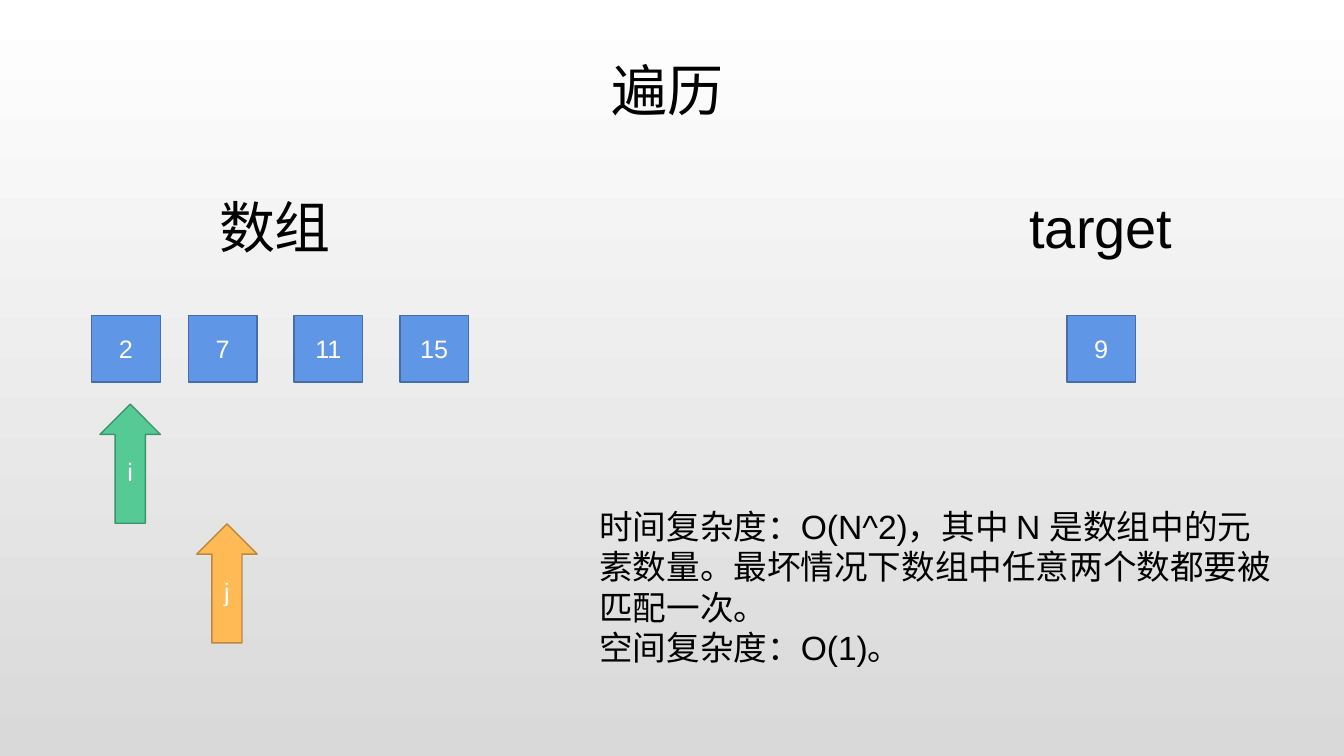
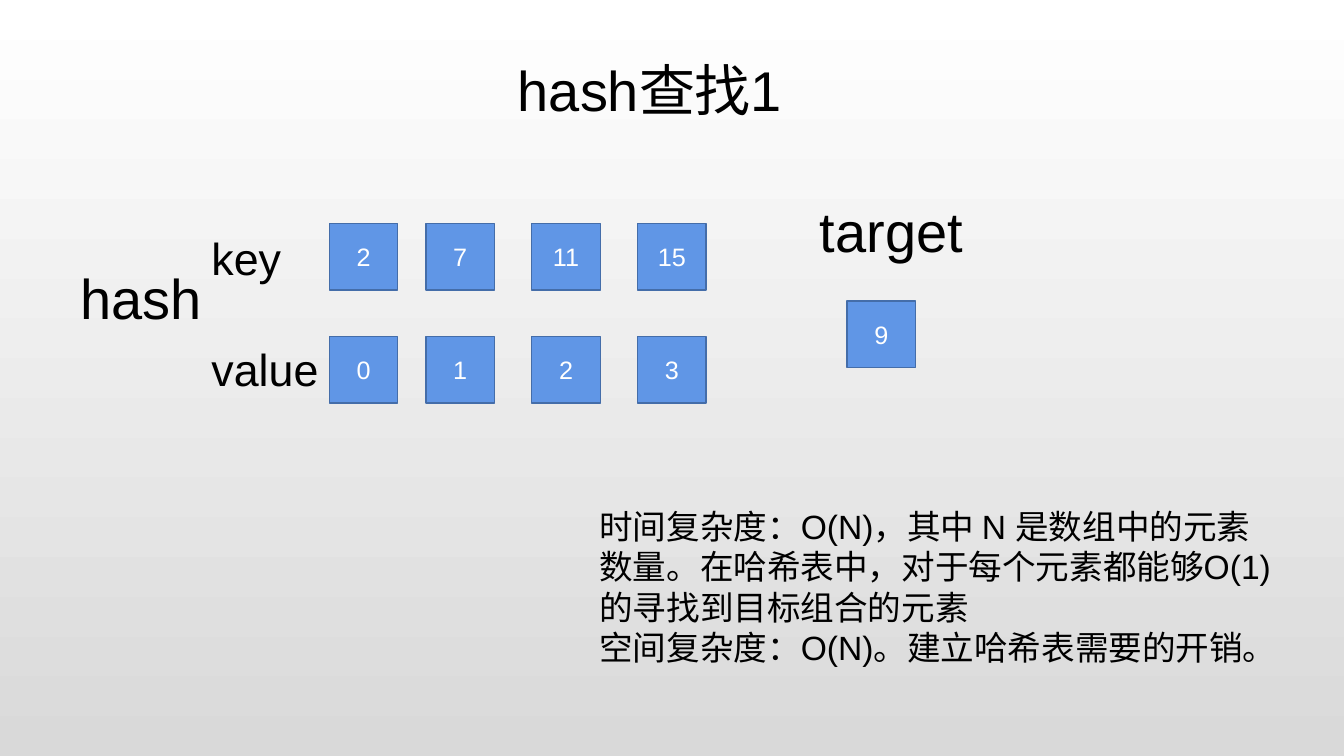
from dataclasses import dataclass
from pptx import Presentation
from pptx.dml.color import RGBColor as RGB
from pptx.enum.lang import MSO_LANGUAGE_ID as Lang
from pptx.enum.shapes import MSO_SHAPE as Kind
from pptx.enum.text import MSO_ANCHOR as Anchor
from pptx.enum.text import MSO_AUTO_SIZE as Fit
from pptx.enum.text import PP_ALIGN as Align
from pptx.util import Pt


@dataclass(frozen=True)
class Theme:
    font: str = "Arial"
    ink: str = "000000"
    pale: str = "FFFFFF"
    shade: str = "D9D9D9"
    # fill and line pairs
    blue: tuple = ("6096E6", "446DA9")
    green: tuple = ("56CA95", "3D946C")
    gold: tuple = ("FFBA55", "BC883C")
    head: int = 40
    label: int = 32
    body: int = 24
    small: int = 18


THEME = Theme()
WIDE, HIGH = 960.48, 540
CELL = (49, 47.5)
STEPS = (0, 69.1, 144.7, 220.3)
ARROW = (43.2, 85)
HEAD_H, LABEL_H = 55.4, 46.1
NUMS = (2, 7, 11, 15)


def apply(obj, values):
    for name, value in values.items():
        setattr(obj, name, value)


def write(shape, text, size, color, align, **frame):
    """Fill a shape with text, one paragraph a line."""
    box = shape.text_frame
    box.text = text
    apply(box, {"word_wrap": True, **frame})
    for para in box.paragraphs:
        para.alignment = align
        # keep closing marks inside the text margin
        para._p.get_or_add_pPr().set("hangingPunct", "0")
        for run in para.runs:
            apply(run.font, {"name": THEME.font, "size": Pt(size),
                             "language_id": Lang.SIMPLIFIED_CHINESE})
            run.font.color.rgb = RGB.from_string(color)


def add_text(slide, text, x, y, w, h, size=THEME.head,
             align=Align.CENTER, fit=Fit.SHAPE_TO_FIT_TEXT):
    box = slide.shapes.add_textbox(Pt(x), Pt(y), Pt(w), Pt(h))
    write(box, text, size, THEME.ink, align, auto_size=fit)


def add_block(slide, kind, text, x, y, size, colors):
    """Draw a filled shape with small pale text in its middle."""
    w, h = size
    block = slide.shapes.add_shape(kind, Pt(x), Pt(y), Pt(w), Pt(h))
    block.shadow.inherit = False
    fill, line = map(RGB.from_string, colors)
    block.fill.solid()
    block.fill.fore_color.rgb = fill
    block.line.color.rgb = line
    block.line.width = Pt(1)
    write(block, text, THEME.small, THEME.pale, Align.CENTER,
          vertical_anchor=Anchor.MIDDLE)


def add_cells(slide, values, x, y):
    for value, step in zip(values, STEPS):
        add_block(slide, Kind.RECTANGLE, str(value), x + step, y, CELL,
                  THEME.blue)


def add_arrow(slide, text, x, y, colors):
    add_block(slide, Kind.UP_ARROW, text, x, y, ARROW, colors)


def add_title(slide, text, x):
    add_text(slide, text, x, 36, 459.4, HEAD_H)


def add_note(slide, *lines):
    add_text(slide, "\n".join(lines), 421.2, 357.8, 501.8, 122.4,
             THEME.body, Align.LEFT)


def paint(master):
    """Give every slide the vertical gradient."""
    fill = master.background.fill
    fill.gradient()
    fill.gradient_angle = 270
    for stop, pos, color in zip(fill.gradient_stops, (0, 1),
                                (THEME.pale, THEME.shade)):
        stop.position = pos
        stop.color.rgb = RGB.from_string(color)


def scan_slide(slide):
    x, y = 65.5, 225.4
    add_cells(slide, NUMS, x, y)
    add_cells(slide, [9], 762.5, y)
    for text, left in (("数组", 58.6), ("target", 648.9)):
        add_text(slide, text, left, 134.2, 275.8, HEAD_H)
    marks = (("i", THEME.green), ("j", THEME.gold))
    for row, (text, colors) in enumerate(marks):
        add_arrow(slide, text, 71.5 + STEPS[row], 288.7 + row * 85.5, colors)
    add_title(slide, "遍历", 247)
    add_note(slide,
             "时间复杂度：O(N^2)，其中 N 是数组中的元素数量。"
             "最坏情况下数组中任意两个数都要被匹配一次。",
             "空间复杂度：O(1)。")


def hash_slide(slide):
    rows = (("key", NUMS, 159.6, 161.3), ("value", range(4), 240.5, 240.5))
    for text, values, y, top in rows:
        add_cells(slide, values, 235.3, y)
        add_text(slide, text, 144, top, 96, LABEL_H, THEME.label, Align.LEFT)
    add_text(slide, "hash", 50.4, 184.5, 124.6, HEAD_H, align=Align.LEFT)
    add_cells(slide, [9], 605.3, 215)
    add_text(slide, "target", 516.4, 136.8, 241.2, 33.1, fit=Fit.NONE)
    add_title(slide, "hash查找1", 234.7)
    add_note(slide,
             "时间复杂度：O(N)，其中 N 是数组中的元素数量。"
             "在哈希表中，对于每个元素都能够O(1)的寻找到目标组合的元素",
             "空间复杂度：O(N)。建立哈希表需要的开销。")


def main():
    deck = Presentation()
    apply(deck, {"slide_width": Pt(WIDE), "slide_height": Pt(HIGH)})
    paint(deck.slide_master)
    blank = deck.slide_layouts[6]
    for build in (scan_slide, hash_slide):
        build(deck.slides.add_slide(blank))
    deck.save("out.pptx")


if __name__ == "__main__":
    main()
